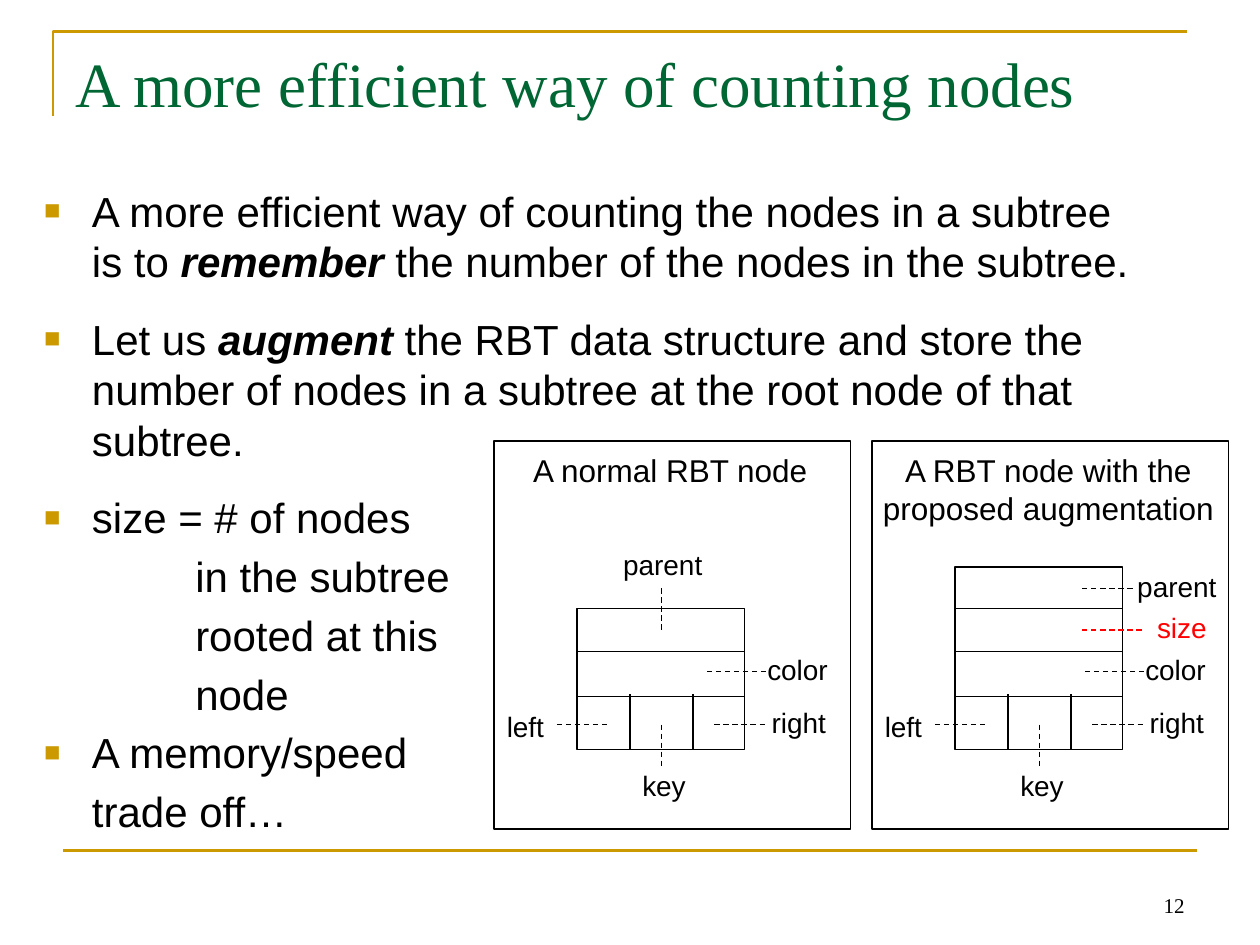
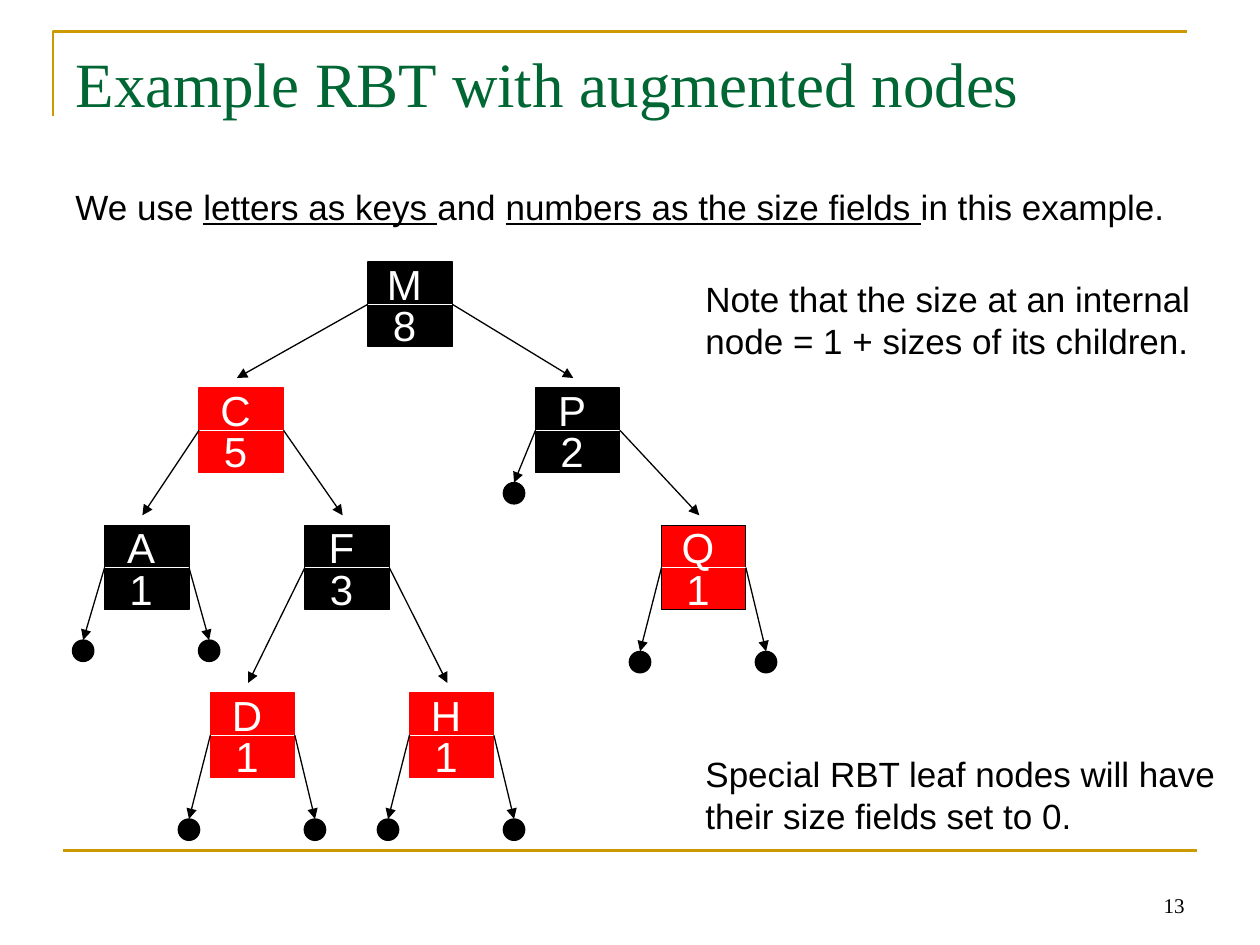
from collections import namedtuple

from lxml.etree import SubElement
from pptx import Presentation
from pptx.dml.color import RGBColor
from pptx.enum.dml import MSO_LINE
from pptx.enum.shapes import MSO_CONNECTOR as Link, MSO_SHAPE as Preset
from pptx.enum.text import MSO_ANCHOR as Anchor, MSO_AUTO_SIZE as Fit, PP_ALIGN as Align
from pptx.oxml.ns import qn
from pptx.util import Inches, Pt

BLACK = RGBColor(0x00, 0x00, 0x00)
WHITE = RGBColor(0xFF, 0xFF, 0xFF)
RED = RGBColor(0xFF, 0x01, 0x01)
GOLD = RGBColor(0xCC, 0x99, 0x00)
GREEN = RGBColor(0x00, 0x66, 0x33)
SANS, SERIF = "Arial", "Times New Roman"
TITLE_ONLY, TITLE_AND_BODY = 5, 1
LEFT_SIDE, RIGHT_SIDE, TOP_SIDE = 1, 3, 0


def write(paragraph, text, size=24, font=SANS, color=BLACK, **emphasis):
    """Add one run; emphasis is bold, italic or underline."""
    run = paragraph.add_run()
    run.text = text
    run.font.size = Pt(size)
    run.font.name = font
    run.font.color.rgb = color
    for name, value in emphasis.items():
        setattr(run.font, name, value)


def place(shape, left, top, width, height):
    shape.left, shape.top = Inches(left), Inches(top)
    shape.width, shape.height = Inches(width), Inches(height)


class Deck:
    def __init__(self):
        self.prs = Presentation()
        self.prs.slide_width, self.prs.slide_height = Inches(10), Inches(7.5)
        self.slide = None

    def new_slide(self, title, number, layout):
        self.slide = self.prs.slides.add_slide(self.prs.slide_layouts[layout])
        # Gold frame lines
        corner = self.slide.shapes.build_freeform(Inches(0.42), Inches(0.92))
        corner.add_line_segments([(Inches(0.42), Inches(0.25)),
                                  (Inches(9.42), Inches(0.25))], close=False)
        self.style(corner.convert_to_shape(), None, GOLD, 1.5)
        self.line((0.5, 6.75), (9.5, 6.75), GOLD, 1.5)
        # Title and page number
        heading = self.slide.shapes.title
        place(heading, 0.5, 0.3, 9, 1.25)
        frame = heading.text_frame
        frame.vertical_anchor, frame.auto_size = Anchor.TOP, Fit.NONE
        frame.paragraphs[0].alignment = Align.LEFT
        write(frame.paragraphs[0], title, size=36, font=SERIF, color=GREEN)
        self.text([number], 7.17, 6.83, 2.33, 0.5, align=Align.RIGHT,
                  anchor=Anchor.BOTTOM, size=12, font=SERIF)

    def style(self, shape, fill, outline, width=0.75):
        shape.shadow.inherit = False
        if fill is None:
            shape.fill.background()
        else:
            shape.fill.solid()
            shape.fill.fore_color.rgb = fill
        shape.line.color.rgb = outline
        shape.line.width = Pt(width)

    def shape(self, preset, left, top, width, height, fill=None, outline=BLACK):
        shape = self.slide.shapes.add_shape(
            preset, Inches(left), Inches(top), Inches(width), Inches(height))
        self.style(shape, fill, outline)
        return shape

    def line(self, start, end, color=BLACK, width=0.75, dashed=False, arrow=False,
             begin_at=None, end_at=None):
        link = self.slide.shapes.add_connector(
            Link.STRAIGHT, *(Inches(value) for value in (*start, *end)))
        if begin_at:
            link.begin_connect(*begin_at)
        if end_at:
            link.end_connect(*end_at)
        link.line.color.rgb = color
        link.line.width = Pt(width)
        if dashed:
            link.line.dash_style = MSO_LINE.DASH
        properties = link.element.spPr
        if arrow:
            SubElement(properties.find(qn("a:ln")), qn("a:tailEnd"), type="triangle")
        SubElement(properties, qn("a:effectLst"))

    def text(self, lines, left, top, width, height, align=Align.LEFT,
             anchor=Anchor.TOP, wrap=True, **look):
        """Each line is a string or a list of (string, emphasis) parts."""
        box = self.slide.shapes.add_textbox(
            Inches(left), Inches(top), Inches(width), Inches(height))
        frame = box.text_frame
        frame.word_wrap, frame.vertical_anchor = wrap, anchor
        for index, parts in enumerate(lines):
            paragraph = frame.add_paragraph() if index else frame.paragraphs[0]
            paragraph.alignment = align
            for part, emphasis in [(parts, {})] if isinstance(parts, str) else parts:
                write(paragraph, part, **look, **emphasis)

    def label(self, lines, center, top, width, height, **look):
        self.text(lines, center - width / 2, top, width, height,
                  align=Align.CENTER, wrap=False, **look)

    def bullets(self, items, left, top, width, height):
        """Each item is (parts, indent, bulleted, space before)."""
        body = self.slide.placeholders[1]
        place(body, left, top, width, height)
        frame = body.text_frame
        frame.auto_size, frame.vertical_anchor = Fit.NONE, Anchor.TOP
        for index, (parts, indent, bulleted, gap) in enumerate(items):
            paragraph = frame.add_paragraph() if index else frame.paragraphs[0]
            paragraph.alignment = Align.LEFT
            paragraph.line_spacing = 1.0
            paragraph.space_before = Pt(gap)
            marks = paragraph._p.get_or_add_pPr()
            marks.set("marL", str(Inches(indent)))
            marks.set("indent", str(-Inches(0.38) if bulleted else 0))
            if bulleted:
                tint = SubElement(marks, qn("a:buClr"))
                SubElement(tint, qn("a:srgbClr"), val=str(GOLD))
                SubElement(marks, qn("a:buSzPct"), val="65000")
                SubElement(marks, qn("a:buFont"), typeface=SANS)
                SubElement(marks, qn("a:buChar"), char="■")
            else:
                SubElement(marks, qn("a:buNone"))
            for part, emphasis in parts:
                write(paragraph, part, **emphasis)


# Slide 12: fields of a node, measured from the left edge of its cells
# (label, label centre, label top, dash start, dash end, color)
Field = namedtuple("Field", "name center top start end color", defaults=[BLACK])
COMMON_FIELDS = [
    Field("key", 0.69, 6.05, (0.67, 5.75), (0.67, 6.08)),
    Field("left", -0.41, 5.58, (-0.16, 5.75), (0.25, 5.75)),
    Field("right", 1.76, 5.55, (1.09, 5.75), (1.5, 5.75)),
    Field("color", 1.75, 5.13, (1.5, 5.33), (1, 5.33)),
]
NORMAL_FIELDS = [Field("parent", 0.68, 4.3, (0.67, 4.67), (0.67, 5))]
AUGMENTED_FIELDS = [
    Field("parent", 1.76, 4.47, (1.01, 4.67), (1.43, 4.67)),
    Field("size", 1.8, 4.8, (1.01, 5), (1.51, 5), RED),
]


def draw_node_layout(deck, panel_left, caption, cell_top, row_tops, fields):
    cell_left, cell_width, cell_bottom = panel_left + 0.66, 1.33, 5.95
    deck.shape(Preset.RECTANGLE, panel_left, 3.5, 2.83, 3.08)
    deck.shape(Preset.RECTANGLE, cell_left, cell_top, cell_width, cell_bottom - cell_top)
    for row_top in row_tops:
        deck.line((cell_left, row_top), (cell_left + cell_width, row_top))
    for offset in (0.42, 0.92):
        deck.line((cell_left + offset, 5.51), (cell_left + offset, cell_bottom))
    deck.label(caption, cell_left + 0.74, 3.53, 3, 0.4 + 0.3 * (len(caption) - 1), size=18)
    for field in COMMON_FIELDS + fields:
        deck.label([field.name], cell_left + field.center, field.top, 1, 0.37,
                   size=16, color=field.color)
        start, end = ((cell_left + x, y) for x, y in (field.start, field.end))
        deck.line(start, end, field.color, dashed=True)


def counting_slide(deck):
    deck.new_slide("A more efficient way of counting nodes", "12", TITLE_AND_BODY)
    strong = {"bold": True, "italic": True}
    near, far, tight, wide = 0.38, 1.2, 4.8, 15.6
    deck.bullets([
        ([("A more efficient way of counting the nodes in a subtree is to ", {}),
          ("remember", strong),
          (" the number of the nodes in the subtree.", {})], near, True, tight),
        ([("Let us ", {}), ("augment", strong),
          (" the RBT data structure and store the number of nodes in a subtree "
           "at the root node of that subtree.", {})], near, True, wide),
        ([("size = # of nodes", {})], near, True, wide),
        ([("in the subtree", {})], far, False, tight),
        ([("rooted at this", {})], far, False, tight),
        ([("node", {})], far, False, tight),
        ([("A memory/speed", {})], near, True, tight),
        ([("trade off…", {})], near, False, tight),
    ], 0.25, 1.42, 9, 5.3)
    draw_node_layout(deck, 3.92, ["A normal RBT node"], 4.83, [5.17, 5.53], NORMAL_FIELDS)
    draw_node_layout(deck, 6.92, ["A RBT node with the", "proposed augmentation"],
                     4.5, [4.83, 5.17, 5.53], AUGMENTED_FIELDS)


# Slide 13: the tree; a missing child is drawn as a leaf, leaf_drop below its parent
Node = namedtuple("Node", "size left top fill outline children leaf_drop")
TREE = {
    "M": Node("8", 2.92, 2.08, BLACK, BLACK, ("C", "P"), 0),
    "C": Node("5", 1.58, 3.08, RED, RED, ("A", "F"), 0),
    "P": Node("2", 4.25, 3.08, BLACK, BLACK, (None, "Q"), 0.75),
    "A": Node("1", 0.83, 4.17, BLACK, BLACK, (None, None), 0.91),
    "F": Node("3", 2.42, 4.17, BLACK, BLACK, ("D", "H"), 0),
    "Q": Node("1", 5.25, 4.17, RED, BLACK, (None, None), 1),
    "D": Node("1", 1.67, 5.5, RED, RED, (None, None), 1),
    "H": Node("1", 3.25, 5.5, RED, RED, (None, None), 1),
}
NODE_SIDE, LEAF_SIDE = 0.67, 0.17


def draw_tree_node(deck, key):
    node = TREE[key]
    square = deck.shape(Preset.RECTANGLE, node.left, node.top, NODE_SIDE, NODE_SIDE,
                        node.fill, node.outline)
    middle = node.top + NODE_SIDE / 2
    edges = (node.left, middle), (node.left + NODE_SIDE, middle)
    deck.line(*edges, WHITE, begin_at=(square, LEFT_SIDE), end_at=(square, RIGHT_SIDE))
    for value, offset in ((key, -0.08), (node.size, 0.25)):
        deck.label([value], node.left + 0.29, node.top + offset, 0.48, 0.5, color=WHITE)

    # Arrows to both children
    leaf_centers = node.left - 0.17, node.left + 0.83
    for child, edge, side, center in zip(node.children, edges, (LEFT_SIDE, RIGHT_SIDE),
                                         leaf_centers):
        if child:
            tip, joint = (TREE[child].left + 0.3, TREE[child].top - 0.08), None
        else:
            tip = center, node.top + node.leaf_drop
            leaf = deck.shape(Preset.OVAL, center - LEAF_SIDE / 2, tip[1],
                              LEAF_SIDE, LEAF_SIDE, BLACK)
            joint = leaf, TOP_SIDE
        deck.line(edge, tip, arrow=True, begin_at=(square, side), end_at=joint)


def example_slide(deck):
    deck.new_slide("Example RBT with augmented nodes", "13", TITLE_ONLY)
    underlined = {"underline": True}
    deck.text([[("We use ", {}), ("letters as keys ", underlined), ("and ", {}),
                ("numbers as the size fields ", underlined), ("in this example.", {})]],
              0.5, 1.42, 9.08, 0.43, size=20)
    for key in TREE:
        draw_tree_node(deck, key)
    deck.text(["Note that the size at an internal", "node = 1 + sizes of its children."],
              5.5, 2.15, 4.25, 0.77, size=20)
    deck.text(["Special RBT leaf nodes will have their size fields set to 0."],
              5.5, 5.92, 4.25, 0.77, size=20)


def main():
    deck = Deck()
    counting_slide(deck)
    example_slide(deck)
    deck.prs.save("out.pptx")


if __name__ == "__main__":
    main()
